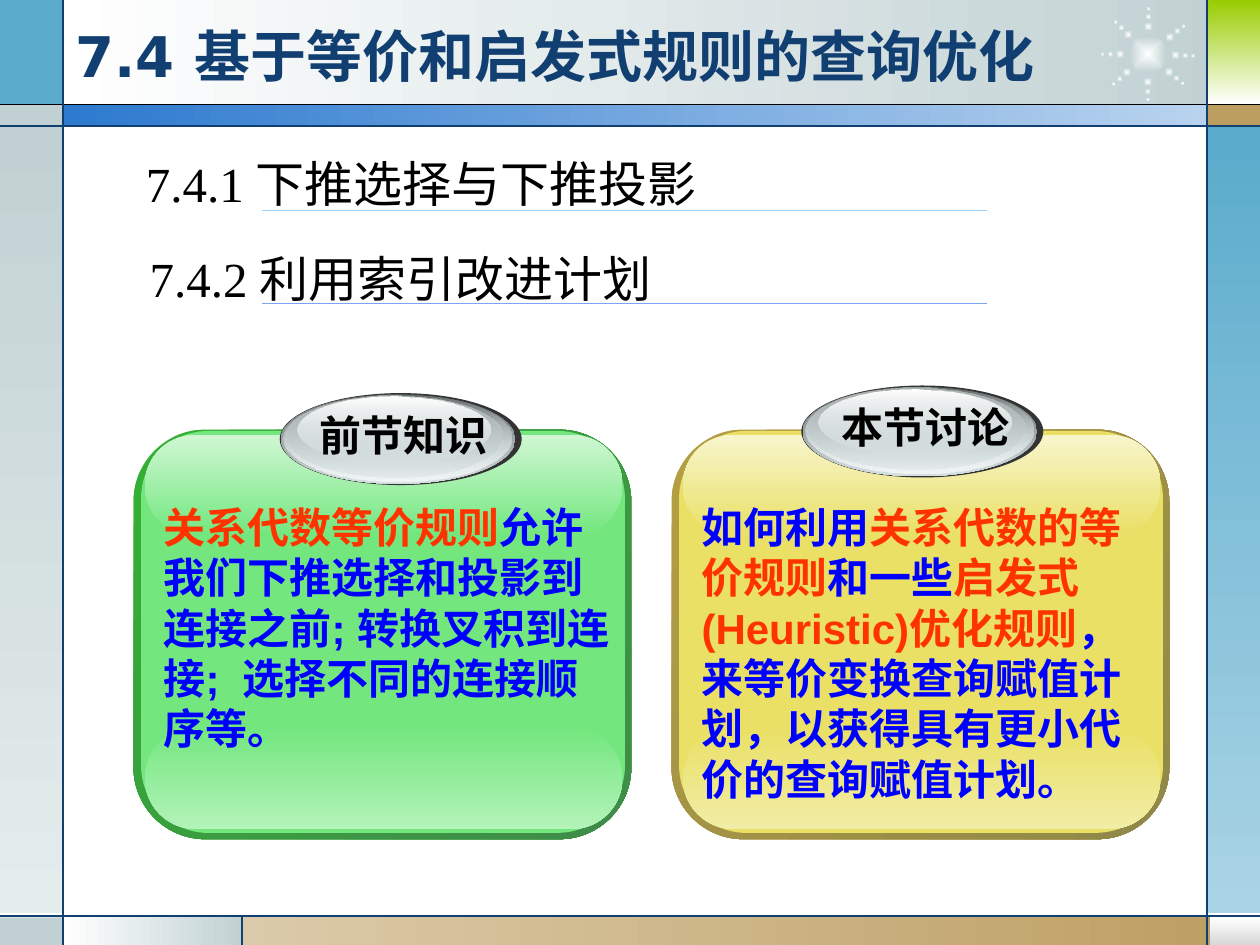
from math import cos, radians, sin

from lxml.etree import SubElement
from pptx import Presentation
from pptx.dml.color import RGBColor as RGB
from pptx.enum.shapes import MSO_CONNECTOR as CONN, MSO_SHAPE as SHAPE
from pptx.enum.text import MSO_ANCHOR as ANCHOR, MSO_AUTO_SIZE as FIT, PP_ALIGN as ALIGN
from pptx.oxml.ns import qn
from pptx.util import Inches, Pt

WHITE = RGB(0xFF, 0xFF, 0xFF)
BLACK = RGB(0, 0, 0)
NAVY = RGB(0x11, 0x3F, 0x71)
BLUE = RGB(0, 0, 0xFF)
RED = RGB(0xFF, 0x33, 0)
SKY = RGB(0x5A, 0xAB, 0xCC)
PALE_SKY = RGB(0xAA, 0xD4, 0xE5)
GREY = RGB(0xC1, 0xD1, 0xD3)
PALE_GREY = RGB(0xE5, 0xEC, 0xEC)
SILVER = RGB(0xD8, 0xD8, 0xD8)
TAN = RGB(0xBD, 0x9E, 0x61)
PALE_TAN = RGB(0xDB, 0xCA, 0xA9)
LIME = RGB(0x99, 0xCC, 0)
BAND = RGB(0x2D, 0x7A, 0xCF)
PALE_BAND = RGB(0xB9, 0xD3, 0xEF)
RULE_LIGHT = RGB(0x99, 0xCC, 0xFF)
RULE_DARK = RGB(0x7B, 0xA6, 0xF3)
CHARCOAL = RGB(0x33, 0x33, 0x33)
STEEL = RGB(0x63, 0x68, 0x69)
MIST = RGB(0xD6, 0xE1, 0xE2)
ICE = RGB(0xF1, 0xF5, 0xF5)
PEWTER = RGB(0xAA, 0xB2, 0xB3)
# Card palettes: rim start, rim end, face, bottom glow, top glow
GREEN = (RGB(0x34, 0xB0, 0x34), RGB(0x3F, 0x8B, 0x4A), RGB(0x73, 0xE7, 0x7E),
         RGB(0xB3, 0xF2, 0xB9), RGB(0xD0, 0xF7, 0xD4))
YELLOW = (RGB(0xB5, 0x9F, 0x43), RGB(0x8F, 0x88, 0x49), RGB(0xE9, 0xE0, 0x65),
          RGB(0xF2, 0xED, 0xA6), RGB(0xF8, 0xF5, 0xCC))


def cells(*lengths):
    """Grid of 100 columns by 75 rows, one tenth of an inch each."""
    return [Inches(n / 10) for n in lengths]


class Deck:
    BODY, HEAD, NUMBERED = "Arial", "DejaVu Sans", "Times New Roman"

    def __init__(self):
        self.prs = Presentation()
        self.prs.slide_width, self.prs.slide_height = cells(100, 75)
        self.slide = self.prs.slides.add_slide(self.prs.slide_layouts[5])
        self.shapes = self.slide.shapes

    def start_group(self):
        self.shapes = self.slide.shapes.add_group_shape().shapes

    def end_group(self):
        self.shapes = self.slide.shapes

    def paint(self, sp, colors, angle, alphas):
        """One colour gives a solid fill, two a gradient; angle None is radial."""
        fill = sp.fill
        if len(colors) == 1:
            fill.solid()
            fill.fore_color.rgb = colors[0]
            return
        fill.gradient()
        for stop, color, pos in zip(fill.gradient_stops, colors, (0, 1)):
            stop.color.rgb, stop.position = color, pos
        grad = sp._element.spPr.find(qn("a:gradFill"))
        for clr, alpha in zip(grad.iter(qn("a:srgbClr")), alphas):
            if alpha < 100:
                SubElement(clr, qn("a:alpha")).set("val", str(alpha * 1000))
        if angle is None:
            grad.remove(grad.find(qn("a:lin")))
            center = SubElement(SubElement(grad, qn("a:path"), {"path": "rect"}),
                                qn("a:fillToRect"))
            for side in "ltrb":
                center.set(side, "50000")
        else:
            fill.gradient_angle = -angle % 360

    def shape(self, kind, at, *colors, angle=90, alphas=(100, 100), round_by=None):
        sp = self.shapes.add_shape(kind, *cells(*at))
        sp.shadow.inherit = False
        sp.line.fill.background()
        if round_by is not None:
            sp.adjustments[0] = round_by
        self.paint(sp, colors, angle, alphas)

    def line(self, x1, y1, x2, y2, color):
        ln = self.shapes.add_connector(CONN.STRAIGHT, *cells(x1, y1, x2, y2))
        ln.line.color.rgb, ln.line.width = color, Pt(0.75)
        SubElement(ln._element.spPr, qn("a:effectLst"))

    def add_runs(self, tf, runs, size, font, bold, align=ALIGN.LEFT):
        p = tf.paragraphs[0]
        p.alignment = align
        for text, color in runs:
            r = p.add_run()
            r.text = text
            r.font.size, r.font.name, r.font.bold = Pt(size), font, bold
            r.font.color.rgb = color

    def text(self, at, runs, size=24, font=BODY, bold=True, align=ALIGN.LEFT, wrap=True):
        tf = self.shapes.add_textbox(*cells(*at)).text_frame
        tf.word_wrap, tf.auto_size = wrap, FIT.SHAPE_TO_FIT_TEXT
        self.add_runs(tf, runs, size, font, bold, align)

    def title(self, at, text):
        sp = self.slide.shapes.title
        sp.left, sp.top, sp.width, sp.height = cells(*at)
        tf = sp.text_frame
        tf.vertical_anchor, tf.auto_size = ANCHOR.MIDDLE, FIT.NONE
        self.add_runs(tf, [(text, NAVY)], 32, self.HEAD, True)
        # Bring the title in front of the frame
        self.slide.shapes._spTree.append(sp._element)

    def star(self, cx, cy):
        self.start_group()
        rings = [(2.2, 0.7), (2.97, 0.5), (3.6, 0.36)]
        dots = [(cx, cy, 3)]
        for arm in (2, 40, 90, 139, 180, 225, 271, 322):
            a = radians(arm)
            dots += [(cx + r * cos(a), cy + r * sin(a), d) for r, d in rings]
        for x, y, d in dots:
            self.shape(SHAPE.OVAL, (x - d / 2, y - d / 2, d, d), WHITE, GREY, angle=None)
        self.end_group()

    def badge(self, x, y, label):
        self.shape(SHAPE.OVAL, (x, y, 19.2, 7.3), CHARCOAL)
        layers = [((0.1, 0.1, 18.6, 7.1), STEEL, MIST, (100, 100)),
                  ((0.3, 0.1, 18.1, 6.9), MIST, ICE, (0, 100)),
                  ((0.5, 0.2, 17.2, 6.5), PEWTER, MIST, (100, 48)),
                  ((1.4, 0.3, 15.3, 5.2), WHITE, MIST, (100, 38))]
        for (dx, dy, w, h), top, bottom, alphas in layers:
            self.shape(SHAPE.OVAL, (x + dx, y + dy, w, h), top, bottom, alphas=alphas)
        self.text((x + 2.2, y + 0.8, 15.3, 5), [(label, BLACK)],
                  align=ALIGN.CENTER, wrap=False)

    def card(self, x, y, palette, badge_at, label, runs, text_rows):
        rim, rim_end, face, low, high = palette
        box = SHAPE.ROUNDED_RECTANGLE
        self.start_group()
        self.shape(box, (x, y, 39.5, 32.5), rim, rim_end, angle=45, round_by=0.175)
        self.shape(box, (x + 0.6, y + 0.1, 38.4, 31.9), face, round_by=0.167)
        self.shape(box, (x + 0.9, y + 23.6, 37.9, 8.1), face, low, round_by=0.5)
        self.shape(box, (x + 0.9, y + 0.4, 37.9, 8), high, face, round_by=0.5)
        self.badge(*badge_at, label)
        self.text((x + 1.4, y + 5.2, 37.6, text_rows), runs)
        self.end_group()


def main():
    deck = Deck()

    # Frame panels: place, colours, gradient angle
    for at, colors, angle in [
        ((5, 0, 92.7, 8.4), (WHITE, GREY), 0),
        ((0, 0, 5, 8.4), (SKY,), 0),
        ((0, 8.3, 5, 1.7), (GREY,), 0),
        ((0, 10, 5, 62.5), (GREY, PALE_GREY), 90),
        ((0, 72.8, 5, 2.2), (GREY,), 0),
        ((5, 72.7, 14.3, 2.3), (WHITE, GREY), 0),
        ((19.2, 72.7, 80.8, 2.3), (PALE_TAN, TAN), 0),
        ((96, 72.8, 4, 2.2), (WHITE, SILVER), 90),
        ((95.8, 10, 4.2, 62.5), (SKY, PALE_SKY), 90),
        ((95.8, 8.3, 4.2, 1.7), (TAN,), 0),
        ((95.9, 0, 4.1, 8.3), (LIME, WHITE), 90),
        ((5, 8.3, 90.9, 1.7), (BAND, PALE_BAND), 0),
    ]:
        deck.shape(SHAPE.RECTANGLE, at, *colors, angle=angle)
    deck.star(91.1, 4.3)

    # Frame lines
    for y, color in [(8.3, BLACK), (10, NAVY), (72.7, NAVY)]:
        deck.line(0, y, 100, y, color)
    for x, top in [(5, 0), (95.8, 0), (19.2, 72.7)]:
        deck.line(x, top, x, 75, NAVY)

    # Title and section entries
    deck.title((5, 1.3, 90.8, 6.2), "7.4 基于等价和启发式规则的查询优化")
    for at, entry, rule_y, color, wrap in [
        ((10.6, 11.7, 46.6, 5.7), "7.4.1 下推选择与下推投影", 16.7, RULE_LIGHT, False),
        ((10.9, 19.2, 68.7, 5.7), "7.4.2 利用索引改进计划", 24.1, RULE_DARK, True),
    ]:
        deck.text(at, [(entry, BLACK)], 28, deck.NUMBERED, bold=False, wrap=wrap)
        deck.line(20.8, rule_y, 78.3, rule_y, color)

    # Cards
    deck.card(10.6, 34.1, GREEN, (22.2, 31.2), "前节知识", [
        ("关系代数等价规则", RED),
        ("允许我们下推选择和投影到连接之前; 转换叉积到连接;  选择不同的连接顺序等。", BLUE),
    ], 21)
    deck.card(53.3, 34.1, YELLOW, (63.6, 30.6), "本节讨论", [
        ("如何利用", BLUE),
        ("关系代数的等价规则", RED),
        ("和一些", BLUE),
        ("启发式(Heuristic)优化规则", RED),
        ("，来等价变换查询赋值计划，以获得具有更小代价的查询赋值计划。", BLUE),
    ], 25)

    deck.prs.save("out.pptx")


if __name__ == "__main__":
    main()
